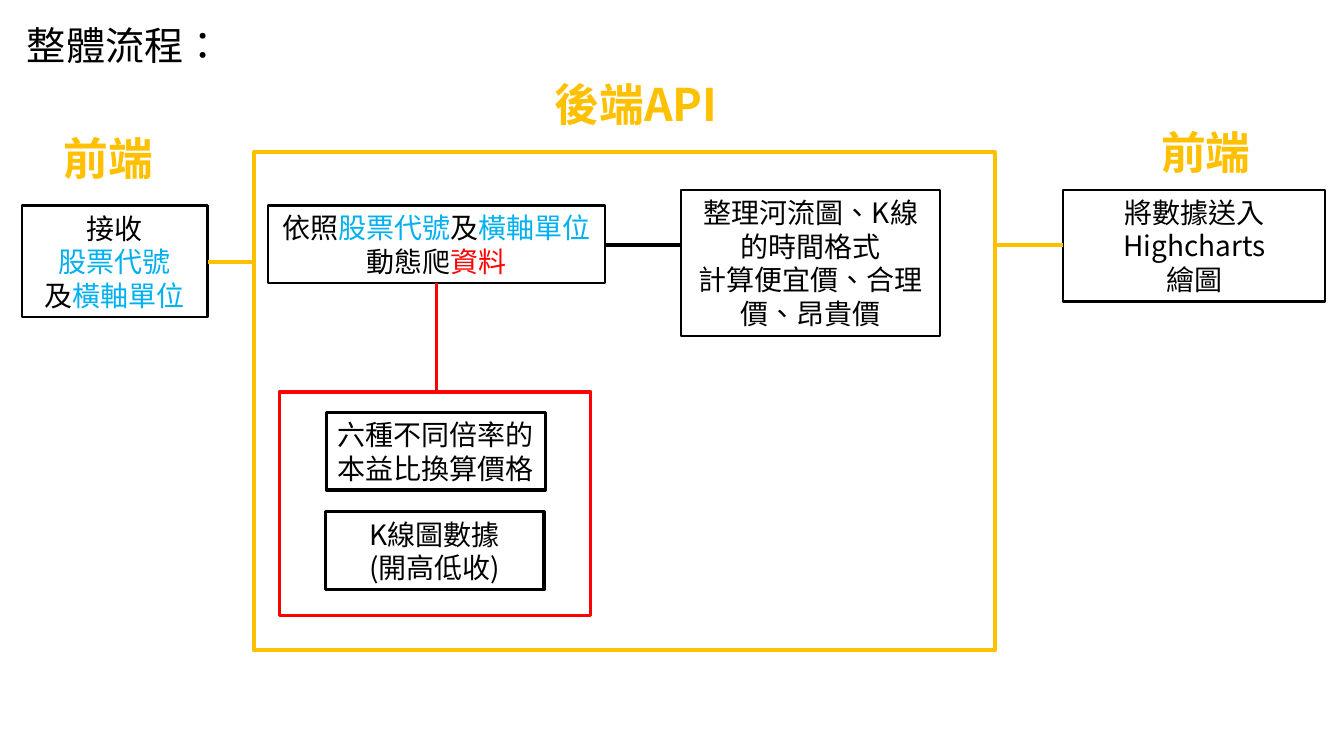
import pptx
import pptx.util
import pptx.dml.color
import pptx.enum.shapes
import pptx.enum.text
import pptx.oxml.ns
import lxml.etree

Cm = pptx.util.Cm
Pt = pptx.util.Pt
FONT = "Noto Sans CJK SC"
BLACK, BLUE, RED, GOLD = "000000", "00B0F0", "FF0000", "FFC000"

TITLE = ("整體流程：", (0.43, 0.41, 9.35, 1.45))

BOXES = {
    "input": ((0.56, 5.18, 4.67, 2.82), BLACK, 1.5, [
        [("接收", BLACK)],
        [("股票代號", BLUE)],
        [("及", BLACK), ("橫軸單位", BLUE)]]),
    "crawl": ((6.76, 5.18, 8.48, 1.96), BLACK, 1.5, [
        [("依照", BLACK), ("股票代號", BLUE), ("及", BLACK), ("橫軸單位", BLUE)],
        [("動態爬", BLACK), ("資料", RED)]]),
    "prices": ((17.17, 4.78, 6.53, 3.68), BLACK, 1.5, [
        [("整理河流圖、K線的時間格式", BLACK)],
        [("計算便宜價、合理價、昂貴價", BLACK)]]),
    "ratios": ((8.23, 10.39, 5.51, 1.96), BLACK, 2.25, [
        [("六種不同倍率的本益比換算價格", BLACK)]]),
    "candles": ((8.2, 12.9, 5.51, 1.96), BLACK, 2.25, [
        [("K線圖數據", BLACK)],
        [("(開高低收)", BLACK)]]),
    "data": ((7.04, 9.88, 7.85, 5.64), RED, 2.25, []),
    "draw": ((26.8, 4.78, 6.6, 2.82), BLACK, 1.5, [
        [("將數據送入Highcharts", BLACK)],
        [("繪圖", BLACK)]]),
    "backend": ((6.4, 3.84, 18.67, 12.55), GOLD, 3, []),
}

ACROSS = [
    ("input", "backend", 6.6, GOLD),
    ("backend", "draw", 6.17, GOLD),
    ("crawl", "prices", 6.17, BLACK),
]

LABELS = [
    ("前端", (1.35, 3.15, 3.12, 1.62)),
    ("後端API", (13.72, 1.8, 8.79, 1.62)),
    ("前端", (29.01, 3.02, 3.12, 1.62)),
]


def rgb(hex_color):
    return pptx.dml.color.RGBColor.from_string(hex_color)


def write(tf, paragraphs, size, align, bold=False):
    tf.word_wrap = True
    tf.vertical_anchor = pptx.enum.text.MSO_ANCHOR.MIDDLE
    tf.margin_left = tf.margin_right = Cm(0.25)
    tf.margin_top = tf.margin_bottom = Cm(0.13)
    for i, runs in enumerate(paragraphs):
        p = tf.paragraphs[0] if i == 0 else tf.add_paragraph()
        p.alignment = align
        for text, color in runs:
            r = p.add_run()
            r.text = text
            r.font.size = Pt(size)
            r.font.bold = bold
            r.font.name = FONT
            r.font.color.rgb = rgb(color)
            props = r._r.get_or_add_rPr()
            props.set("lang", "zh-TW")
            ea = lxml.etree.Element(pptx.oxml.ns.qn("a:ea"), typeface=FONT)
            props.find(pptx.oxml.ns.qn("a:latin")).addnext(ea)


def add_box(s, place, color, width, paragraphs):
    sp = s.shapes.add_shape(pptx.enum.shapes.MSO_SHAPE.RECTANGLE, *map(Cm, place))
    sp.shadow.inherit = False
    sp.fill.background()
    sp.line.color.rgb = rgb(color)
    sp.line.width = Pt(width)
    write(sp.text_frame, paragraphs, 20, pptx.enum.text.PP_ALIGN.CENTER)
    return sp


def add_line(s, x1, y1, x2, y2, color, width):
    c = s.shapes.add_connector(pptx.enum.shapes.MSO_CONNECTOR.STRAIGHT, x1, y1, x2, y2)
    c.line.color.rgb = rgb(color)
    c.line.width = Pt(width)
    lxml.etree.SubElement(c._element.spPr, pptx.oxml.ns.qn("a:effectLst"))


def main():
    prs = pptx.Presentation()
    prs.slide_width, prs.slide_height = Cm(33.87), Cm(19.05)
    s = prs.slides.add_slide(prs.slide_layouts[5])
    left = pptx.enum.text.PP_ALIGN.LEFT

    text, place = TITLE
    title = s.shapes.title
    title.left, title.top, title.width, title.height = map(Cm, place)
    write(title.text_frame, [[(text, BLACK)]], 28, left)

    boxes = {name: add_box(s, *box) for name, box in BOXES.items()}

    crawl, data = boxes["crawl"], boxes["data"]
    x = crawl.left + crawl.width // 2
    add_line(s, x, crawl.top + crawl.height, x, data.top, RED, 2.25)
    for start, end, y, color in ACROSS:
        a, b = boxes[start], boxes[end]
        x1 = a.left + a.width
        add_line(s, x1, Cm(y), b.left, Cm(y), color, 3)

    for text, place in LABELS:
        tb = s.shapes.add_textbox(*map(Cm, place))
        write(tb.text_frame, [[(text, GOLD)]], 32, left, bold=True)

    prs.save("out.pptx")


if __name__ == "__main__":
    main()
